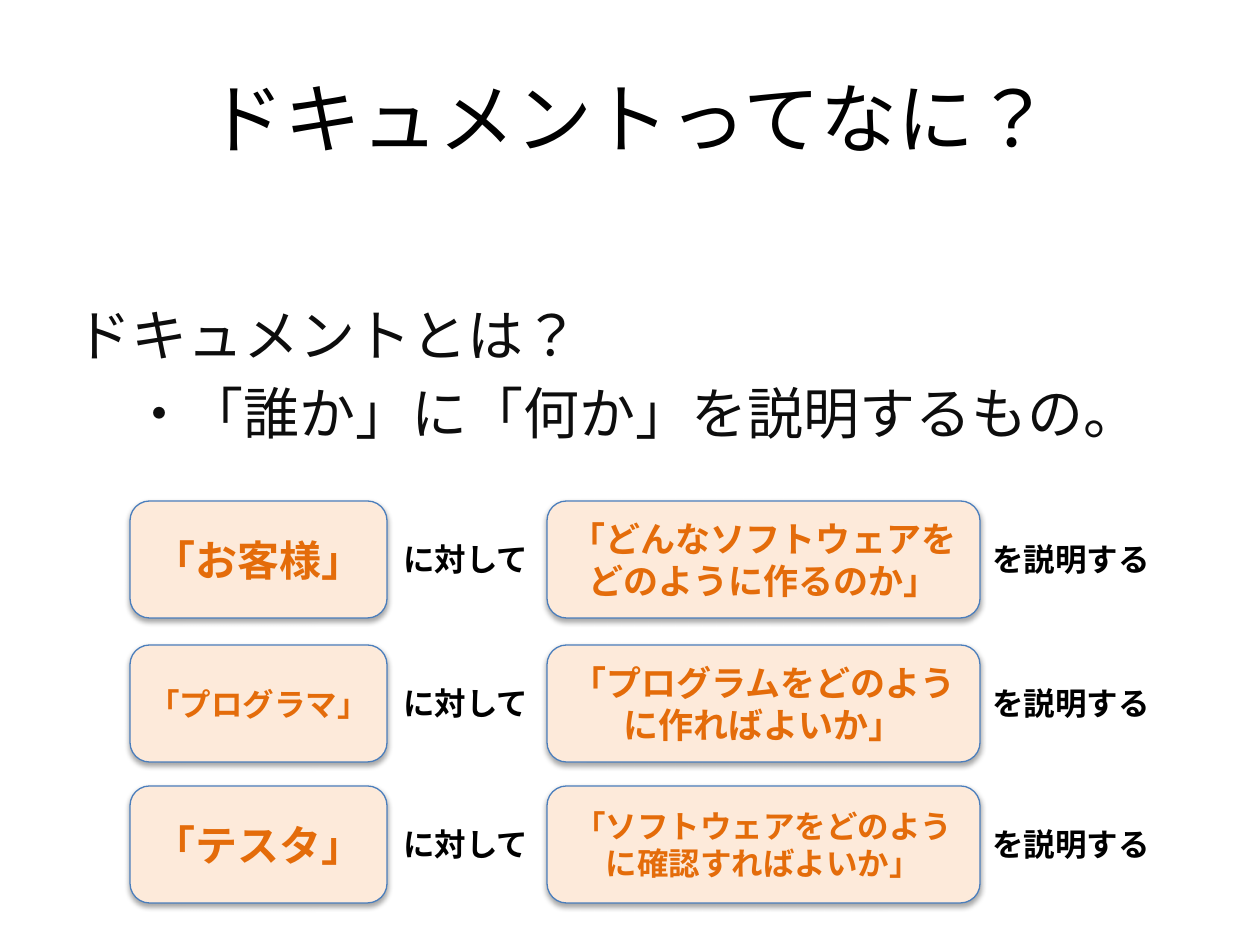
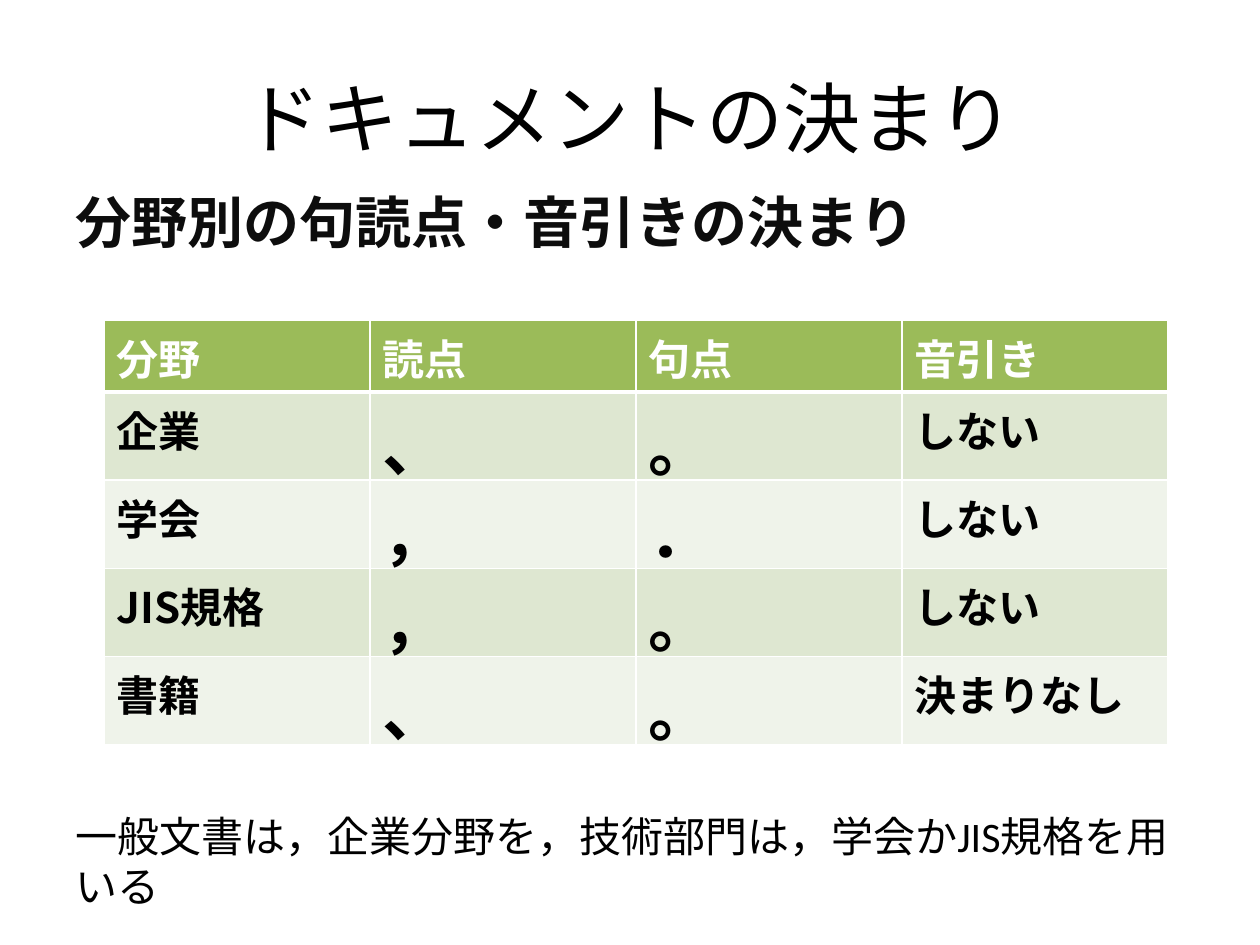
import pptx
import pptx.dml.color
import pptx.enum.lang
import pptx.enum.shapes
import pptx.enum.text
import pptx.oxml
import pptx.oxml.ns
import pptx.util

# Content
DEFINITION_TITLE = "ドキュメントってなに？"
DEFINITION_LINES = ["ドキュメントとは？", "\u3000・「誰か」に「何か」を説明するもの。".replace("\u3000", "　")]
# top, audience, audience size, subject, subject size
EXPLANATIONS = [
    (501, "「お客様」", 24, "「どんなソフトウェアをどのように作るのか」", 20),
    (645, "「プログラマ」", 18, "「プログラムをどのように作ればよいか」", 20),
    (786, "「テスタ」", 24, "「ソフトウェアをどのように確認すればよいか」", 18),
]
TOWARDS, EXPLAIN = "に対して", "を説明する"

RULES_TITLE = "ドキュメントの決まり"
RULES_HEADING = "分野別の句読点・音引きの決まり"
RULES = [
    ("分野", "読点", "句点", "音引き"),
    ("企業", "、", "。", "しない"),
    ("学会", "，", "．", "しない"),
    ("JIS規格", "，", "。", "しない"),
    ("書籍", "、", "。", "決まりなし"),
]
RULES_NOTE = "一般文書は，企業分野を，技術部門は，学会かJIS規格を用いる"

# Shared look
EMU_PER_PX = 914400 // 126
GOTHIC, CALIBRI, ARIAL = "Noto Sans CJK JP", "Calibri", "Arial"
BLACK = pptx.dml.color.RGBColor(0x00, 0x00, 0x00)
WHITE = pptx.dml.color.RGBColor(0xFF, 0xFF, 0xFF)
INK = pptx.dml.color.RGBColor(0x0D, 0x0D, 0x0D)
ORANGE = pptx.dml.color.RGBColor(0xE4, 0x6C, 0x0A)
PEACH = pptx.dml.color.RGBColor(0xFD, 0xEA, 0xDA)
BLUE = pptx.dml.color.RGBColor(0x4B, 0x7E, 0xBC)
GREEN = pptx.dml.color.RGBColor(0x9B, 0xBB, 0x59)
BANDS = [pptx.dml.color.RGBColor(0xEF, 0xF3, 0xEA), pptx.dml.color.RGBColor(0xDE, 0xE7, 0xD1)]

CENTER = pptx.enum.text.PP_ALIGN.CENTER
MIDDLE = pptx.enum.text.MSO_ANCHOR.MIDDLE
NAMESPACE = pptx.oxml.ns.nsdecls("a")
SHADOW = (f'<a:outerShdw {NAMESPACE} blurRad="40000" dist="23000" dir="5400000" rotWithShape="0">'
          '<a:srgbClr val="000000"><a:alpha val="35000"/></a:srgbClr></a:outerShdw>')


def px(*lengths):
    return [pptx.util.Emu(length * EMU_PER_PX) for length in lengths]


def add_run(paragraph, text, size, font, color, bold=False, east_asian=CALIBRI):
    run = paragraph.add_run()
    run.text = text
    run.font.size = pptx.util.Pt(size)
    run.font.name = font
    run.font.bold = bold
    run.font.color.rgb = color
    run.font.language_id = pptx.enum.lang.MSO_LANGUAGE_ID.JAPANESE
    run.font._element.append(pptx.oxml.parse_xml(f'<a:ea {NAMESPACE} typeface="{east_asian}"/>'))


def add_text(slide, box, lines, size, font, color, bold=False, wrap=True, space=0):
    frame = slide.shapes.add_textbox(*px(*box)).text_frame
    frame.word_wrap = wrap
    for number, line in enumerate(lines):
        paragraph = frame.add_paragraph() if number else frame.paragraphs[0]
        paragraph.space_before = pptx.util.Pt(space)
        add_run(paragraph, line, size, font, color, bold)
    return frame


def add_titled_slide(presentation, title):
    slide = presentation.slides.add_slide(presentation.slide_layouts[6])
    frame = add_text(slide, (63, 38, 1134, 158), [title], 44, CALIBRI, BLACK)
    frame.vertical_anchor = MIDDLE
    frame.paragraphs[0].alignment = CENTER
    return slide


def add_body(slide, top, lines, bold=False):
    add_text(slide, (63, top, 1134, 551), lines, 32, GOTHIC, INK, bold, space=6.4)


def add_card(slide, box, text, size):
    card = slide.shapes.add_shape(pptx.enum.shapes.MSO_SHAPE.ROUNDED_RECTANGLE, *px(*box))
    card.fill.solid()
    card.fill.fore_color.rgb = PEACH
    card.line.color.rgb = BLUE
    card.line.width = pptx.util.Pt(0.75)
    card.shadow.inherit = False
    effects = card.element.spPr.find(pptx.oxml.ns.qn("a:effectLst"))
    effects.append(pptx.oxml.parse_xml(SHADOW))
    frame = card.text_frame
    frame.word_wrap = True
    frame.vertical_anchor = MIDDLE
    frame.paragraphs[0].alignment = CENTER
    add_run(frame.paragraphs[0], text, size, GOTHIC, ORANGE, True)


def set_borders(cell, bottom_width):
    properties = cell._tc.get_or_add_tcPr()
    widths = [("L", 1), ("R", 1), ("T", 1), ("B", bottom_width)]
    for position, (side, width) in enumerate(widths):
        properties.insert(position, pptx.oxml.parse_xml(
            f'<a:ln{side} {NAMESPACE} w="{width * 12700}"><a:solidFill>'
            f'<a:srgbClr val="{WHITE}"/></a:solidFill></a:ln{side}>'))


def add_rules_table(slide):
    column_width, row_height = 266, 72
    columns, rows = len(RULES[0]), len(RULES)
    table = slide.shapes.add_table(
        rows, columns, *px(104, 320, column_width * columns, row_height * rows)).table
    for row, values in enumerate(RULES):
        for column, value in enumerate(values):
            cell = table.cell(row, column)
            is_header = row == 0
            is_mark = not is_header and column in (1, 2)
            cell.fill.solid()
            cell.fill.fore_color.rgb = GREEN if is_header else BANDS[row % 2]
            # The header has a heavier rule beneath it
            set_borders(cell, 3 if is_header else 1)
            if row == 1:
                top_line = cell._tc.tcPr.find(pptx.oxml.ns.qn("a:lnT"))
                top_line.set("w", str(3 * 12700))
            add_run(cell.text_frame.paragraphs[0], value, 36 if is_mark else 24,
                    ARIAL if is_mark else GOTHIC, WHITE if is_header else BLACK, True, GOTHIC)


def build_definition_slide(presentation):
    slide = add_titled_slide(presentation, DEFINITION_TITLE)
    add_body(slide, 294, DEFINITION_LINES)
    for top, audience, audience_size, subject, subject_size in EXPLANATIONS:
        add_card(slide, (130, top, 257, 117), audience, audience_size)
        add_card(slide, (547, top, 433, 117), subject, subject_size)
        for left, width, label in ((391, 152, TOWARDS), (980, 184, EXPLAIN)):
            add_text(slide, (left, top + 33, width, 51), [label], 18, GOTHIC, BLACK, True, wrap=False)


def build_rules_slide(presentation):
    slide = add_titled_slide(presentation, RULES_TITLE)
    add_body(slide, 181, [RULES_HEADING], bold=True)
    add_rules_table(slide)
    add_text(slide, (63, 804, 1152, 63), [RULES_NOTE], 24, CALIBRI, BLACK)


def main():
    presentation = pptx.Presentation()
    presentation.slide_width, presentation.slide_height = px(1260, 945)
    build_definition_slide(presentation)
    build_rules_slide(presentation)
    presentation.save("out.pptx")


if __name__ == "__main__":
    main()
